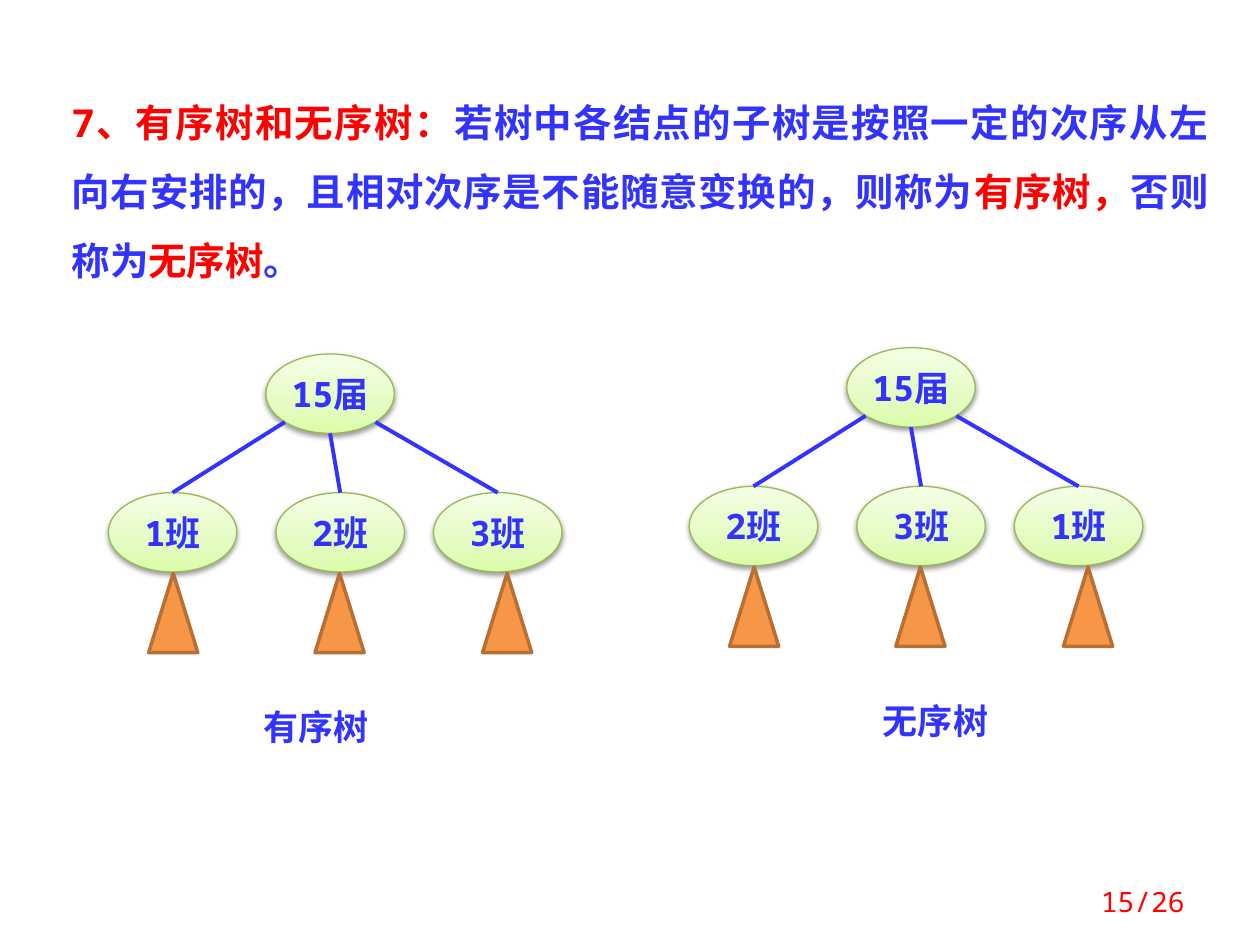
from lxml import etree
from pptx import Presentation
from pptx.dml.color import RGBColor
from pptx.enum.shapes import MSO_CONNECTOR, MSO_SHAPE
from pptx.enum.text import MSO_ANCHOR, MSO_AUTO_SIZE, PP_ALIGN
from pptx.oxml.ns import qn
from pptx.util import Inches, Pt

OVAL, TRIANGLE = MSO_SHAPE.OVAL, MSO_SHAPE.ISOSCELES_TRIANGLE
STRAIGHT = MSO_CONNECTOR.STRAIGHT
MIDDLE, FIT_SHAPE = MSO_ANCHOR.MIDDLE, MSO_AUTO_SIZE.SHAPE_TO_FIT_TEXT
CENTER, RIGHT, JUSTIFY = PP_ALIGN.CENTER, PP_ALIGN.RIGHT, PP_ALIGN.JUSTIFY

FONT = "Noto Sans Mono"
BLUE, RED = "3333FF", "FF0000"
NODE_STOPS = [(0, "DAFDA7"), (35, "E4FCC2"), (100, "F5FFE7")]
NODE_WIDTH, NODE_HEIGHT = 1.02, 0.63

# Offsets from the top left corner of a tree
ROOT_X, CHILD_Y = 1.25, 1.1
CHILD_XS = [0, 1.33, 2.58]
SUBTREE_XS = [0.32, 1.64, 2.97]
SUBTREE_Y, CAPTION_Y = 1.74, 2.74
# Where the branches leave the root
BRANCH_STARTS = [(-0.36, 0.54), (0, NODE_HEIGHT), (0.36, 0.54)]


def color(hex_text):
    return RGBColor.from_string(hex_text)


def set_font(font, size, hex_text, bold=None):
    font.name, font.size, font.bold = FONT, Pt(size), bold
    font.color.rgb = color(hex_text)


def set_line(line, hex_text, width):
    line.color.rgb = color(hex_text)
    line.width = Pt(width)


def add_color(parent, hex_text):
    return etree.SubElement(parent, qn("a:srgbClr"), val=hex_text)


def set_gradient(shape, stops):
    shape.fill.gradient()
    shape.fill.gradient_angle = 90
    stop_list = shape._element.spPr.find(".//" + qn("a:gsLst"))
    for stop in list(stop_list):
        stop_list.remove(stop)
    for position, hex_text in stops:
        stop = etree.SubElement(stop_list, qn("a:gs"), pos=str(position * 1000))
        add_color(stop, hex_text)


def set_shadow(shape):
    shape.shadow.inherit = False
    effects = shape._element.spPr.find(qn("a:effectLst"))
    shadow = etree.SubElement(effects, qn("a:outerShdw"), blurRad=str(Pt(3.1)),
                              dist=str(Pt(1.6)), dir="5400000", rotWithShape="0")
    etree.SubElement(add_color(shadow, "000000"), qn("a:alpha"), val="38000")


def add_text(page, x, y, width, height, text, size, hex_text, align, bold=None):
    box = page.shapes.add_textbox(Inches(x), Inches(y), Inches(width), Inches(height))
    box.text_frame.word_wrap = True
    para = box.text_frame.paragraphs[0]
    para.text, para.alignment = text, align
    set_font(para.font, size, hex_text, bold)
    return box


def add_definition(page, parts):
    box = page.shapes.add_textbox(Inches(0.47), Inches(0.55), Inches(9.22), Inches(1.77))
    box.text_frame.word_wrap = True
    box.text_frame.auto_size = FIT_SHAPE
    para = box.text_frame.paragraphs[0]
    para.alignment, para.line_spacing = JUSTIFY, 1.5
    for text, hex_text in parts:
        span = para.add_run()
        span.text = text
        set_font(span.font, 22, hex_text, True)


def add_node(page, x, y, text):
    node = page.shapes.add_shape(OVAL, Inches(x), Inches(y),
                                 Inches(NODE_WIDTH), Inches(NODE_HEIGHT))
    set_gradient(node, NODE_STOPS)
    set_line(node.line, "98B955", 0.75)
    set_shadow(node)
    frame = node.text_frame
    frame.margin_left = frame.margin_right = frame.margin_top = frame.margin_bottom = 0
    frame.vertical_anchor = MIDDLE
    para = frame.paragraphs[0]
    para.text, para.alignment = text, CENTER
    set_font(para.font, 20, BLUE, True)
    return node


def add_branch(page, x, y, child):
    branch = page.shapes.add_connector(STRAIGHT, Inches(x), Inches(y), Inches(x), Inches(y))
    branch.end_connect(child, 0)
    set_line(branch.line, BLUE, 2.25)
    etree.SubElement(branch._element.spPr, qn("a:effectLst"))


def add_subtree(page, x, y):
    subtree = page.shapes.add_shape(TRIANGLE, Inches(x), Inches(y), Inches(0.39), Inches(0.63))
    subtree.shadow.inherit = False
    subtree.fill.solid()
    subtree.fill.fore_color.rgb = color("F79646")
    set_line(subtree.line, "B76F34", 2)


def add_tree(page, x, y, classes, caption, caption_x):
    add_node(page, x + ROOT_X, y, "15届")
    children = [add_node(page, x + child_x, y + CHILD_Y, name)
                for child_x, name in zip(CHILD_XS, classes)]
    center = x + ROOT_X + NODE_WIDTH / 2
    for child, (start_x, start_y) in zip(children, BRANCH_STARTS):
        add_branch(page, center + start_x, y + start_y, child)
    box = add_text(page, caption_x, y + CAPTION_Y, 1.41, 0.44, caption, 20, BLUE, CENTER, True)
    box.text_frame.auto_size = FIT_SHAPE
    for subtree_x in SUBTREE_XS:
        add_subtree(page, x + subtree_x, y + SUBTREE_Y)


def main():
    deck = Presentation()
    deck.slide_width, deck.slide_height = Inches(10), Inches(7.5)
    page = deck.slides.add_slide(deck.slide_layouts[6])

    # Definition
    add_definition(page, [
        ("7、有序树和无序树：", RED),
        ("若树中各结点的子树是按照一定的次序从左向右安排的，且相对次序是不能随意变换的，则称为", BLUE),
        ("有序树，", RED),
        ("否则称为", BLUE),
        ("无序树", RED),
        ("。", BLUE),
    ])

    # Ordered and unordered tree
    add_tree(page, 0.86, 2.81, ["1班", "2班", "3班"], "有序树", 1.8)
    add_tree(page, 5.47, 2.76, ["2班", "3班", "1班"], "无序树", 6.72)

    # Page number
    number = add_text(page, 7.17, 6.95, 2.33, 0.4, "15/26", 16, RED, RIGHT)
    number.text_frame.vertical_anchor = MIDDLE

    deck.save("out.pptx")


if __name__ == "__main__":
    main()
